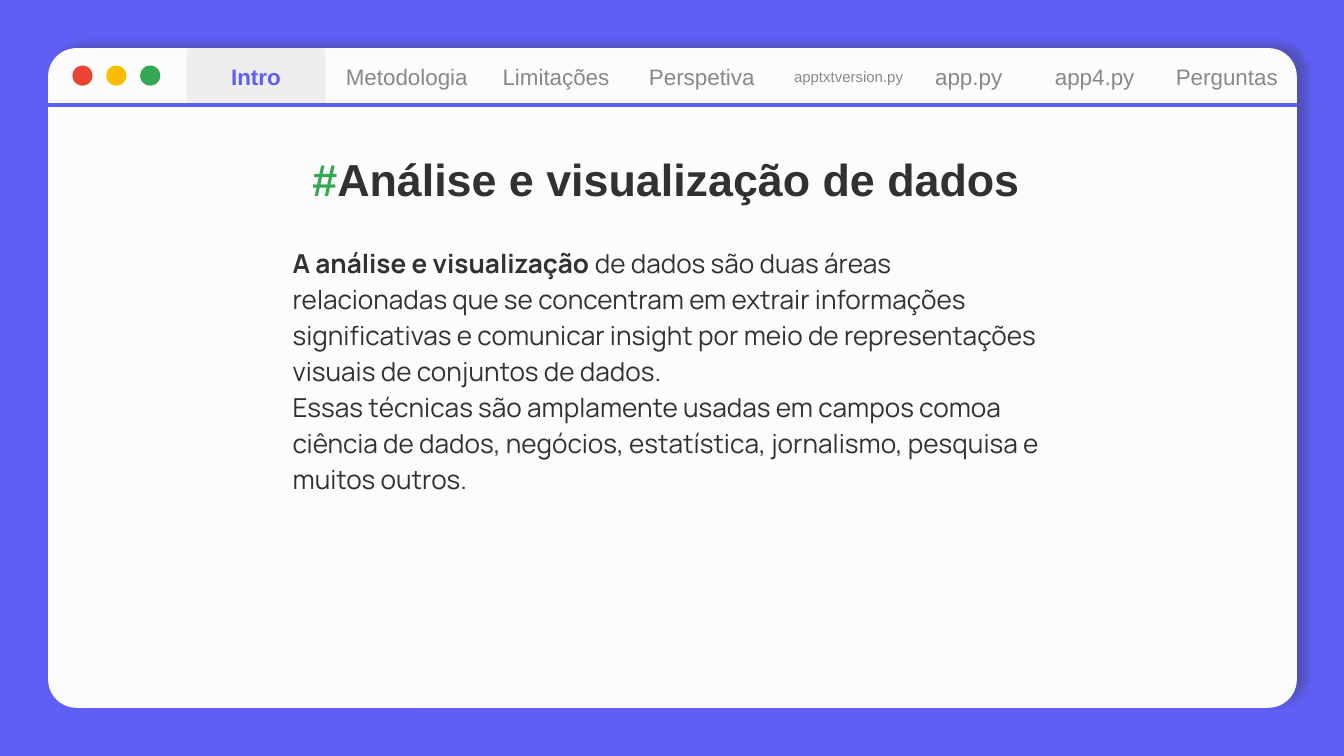
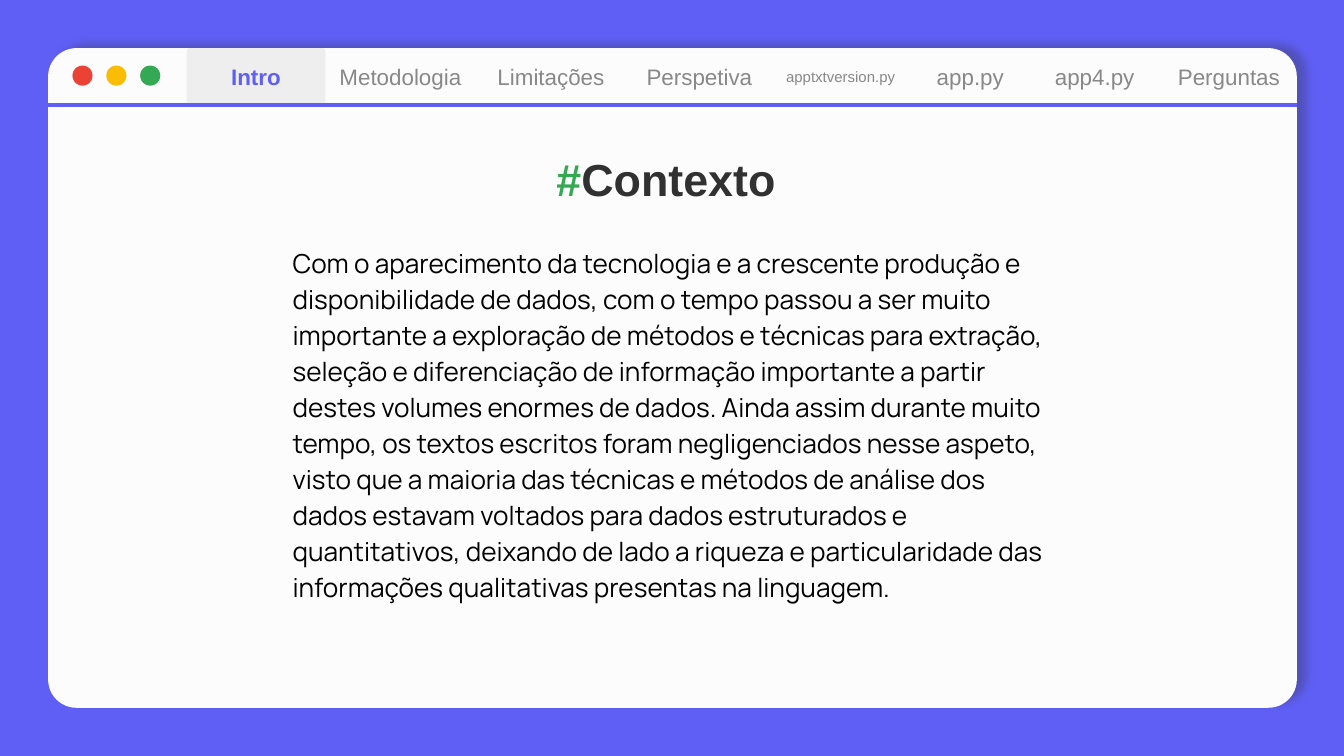
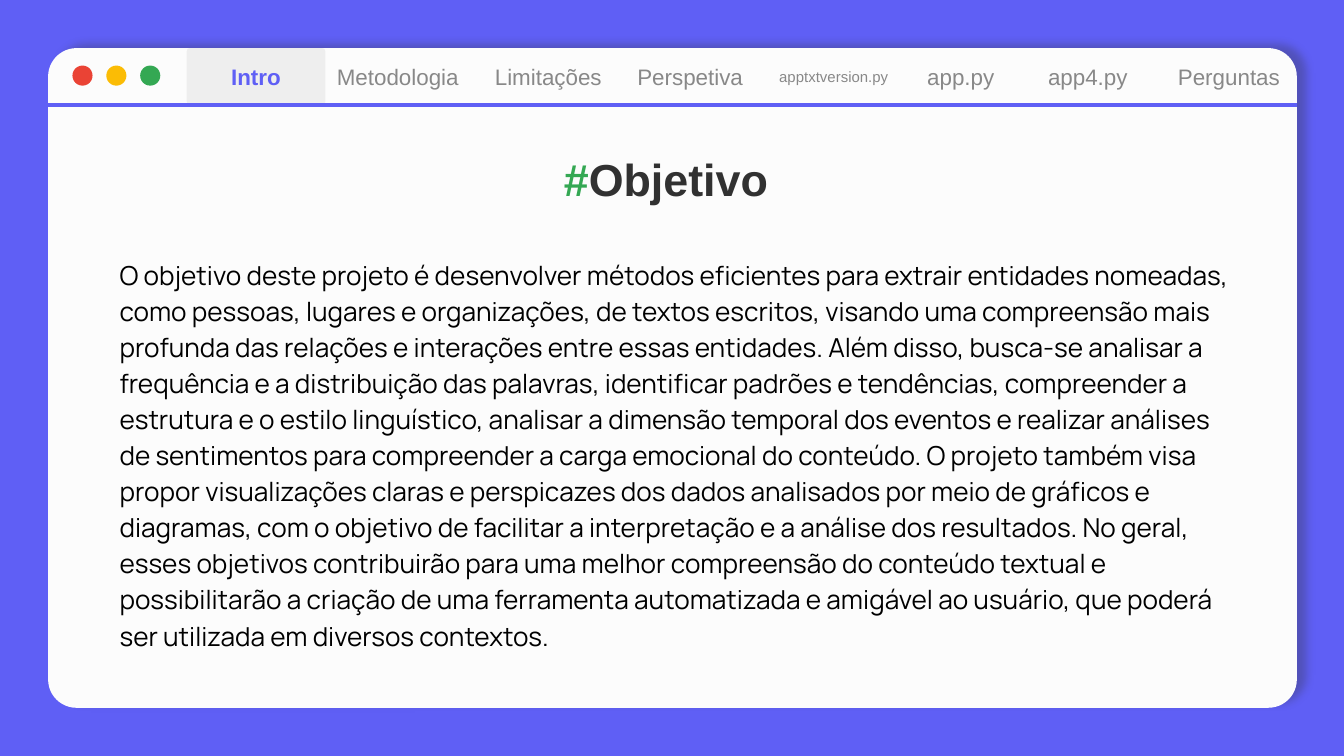
from lxml import etree
from pptx import Presentation
from pptx.dml.color import RGBColor
from pptx.enum.shapes import MSO_CONNECTOR, MSO_SHAPE
from pptx.enum.text import MSO_ANCHOR, MSO_AUTO_SIZE, PP_ALIGN
from pptx.oxml import parse_xml
from pptx.oxml.ns import qn
from pptx.util import Cm, Pt

VIOLET, PAPER, INK, BLACK = "5F5FF5", "FCFCFC", "313131", "000000"
GREY, ACTIVE, GREEN = "888888", "EEEEEE", "34A853"
BUTTONS = ["EA4335", "FBBC05", GREEN]
HEADING_FONT, BODY_FONT = "Arial", "Manrope"

# Content: tab labels, then each slide with its tab places (left, width) in cm
TABS = ["Intro", "Metodologia", "Limitações", "Perspetiva",
        "apptxtversion.py", "app.py", "app4.py", "Perguntas"]
INTRO = (3.53, 2.62)
NARROW = (5.28, 4.34, 14.81, 7.39)
WIDE = (2.01, 4.57, 21.56, 8.81)

SLIDES = [
    dict(
        title="Análise e visualização de dados", color=INK, body_box=NARROW,
        tabs=[INTRO, (6.32, 2.74), (9.2, 2.62), (11.79, 2.95), (14.73, 2.62),
              (16.94, 2.74), (19.38, 2.62), (21.87, 2.79)],
        body=[
            [("A análise e visualização ", True),
             ("de dados são duas áreas relacionadas que se concentram em extrair "
              "informações significativas e comunicar insight por meio de "
              "representações visuais de conjuntos de dados.", False)],
            [("Essas técnicas são amplamente usadas em campos comoa ciência de "
              "dados, negócios, estatística, jornalismo, pesquisa e muitos outros.",
              False)],
        ]),
    dict(
        title="Contexto", color=BLACK, body_box=NARROW,
        tabs=[INTRO, (6.2, 2.74), (8.93, 2.97), (11.43, 3.58), (14.58, 2.62),
              (16.97, 2.74), (19.38, 2.62), (21.87, 2.87)],
        body=[[(
            "Com o aparecimento da tecnologia e a crescente produção e "
            "disponibilidade de dados, com o tempo passou a ser muito importante a "
            "exploração de métodos e técnicas para extração, seleção e "
            "diferenciação de informação importante a partir destes volumes "
            "enormes de dados. Ainda assim durante muito tempo, os textos escritos "
            "foram negligenciados nesse aspeto, visto que a maioria das técnicas e "
            "métodos de análise dos dados estavam voltados para dados estruturados "
            "e quantitativos, deixando de lado a riqueza e particularidade das "
            "informações qualitativas presentas na linguagem.", False)]]),
    dict(
        title="Objetivo", color=BLACK, body_box=WIDE,
        tabs=[INTRO, (6.15, 2.74), (8.89, 2.95), (11.51, 3.07), (14.45, 2.62),
              (16.79, 2.74), (19.25, 2.62), (21.87, 2.87)],
        body=[[
            ("O objetivo deste projeto é desenvolver métodos eficientes para extrair "
             "entidades nomeadas, como pessoas, lugares e organizações, de textos "
             "escritos, visando uma compreensão mais profunda das relações e "
             "interações entre essas entidades. Além disso, busca-se analisar a "
             "frequência e a distribuição das palavras, identificar padrões e "
             "tendências, compreender a estrutura e o estilo linguístico, analisar a "
             "dimensão temporal dos eventos e realizar análises de sentimentos para "
             "compreender a carga emocional do conteúdo. ", False),
            ("O projeto também visa "
             "propor visualizações claras e perspicazes dos dados analisados por "
             "meio de gráficos e diagramas, com o objetivo de facilitar a "
             "interpretação e a análise dos resultados. No geral, esses objetivos "
             "contribuirão para uma melhor compreensão do conteúdo textual e "
             "possibilitarão a criação de uma ferramenta automatizada e amigável ao "
             "usuário, que poderá ser utilizada em diversos contextos.", False)]]),
]

# Shared measures in cm
EDGE, PANEL_W, PANEL_H = 0.91, 23.6, 12.47
BAR_H = 1.07
DOT, DOT_LEFT, DOT_TOP, DOT_STEP = 0.38, 1.37, 1.24, 0.64
TITLE_BOX = (1.75, 2.82, 21.67, 1.52)

SHADOW = (
    '<a:effectLst xmlns:a="http://schemas.openxmlformats.org/drawingml/2006/main">'
    f'<a:outerShdw blurRad="{Pt(4.5)}" dist="{Pt(6)}" dir="{342 * 60000}" '
    f'algn="bl" rotWithShape="0"><a:srgbClr val="{INK}"><a:alpha val="30000"/>'
    '</a:srgbClr></a:outerShdw></a:effectLst>')


def rgb(code):
    return RGBColor.from_string(code)


def add_box(shapes, kind, box, fill=None, corner=None):
    shape = shapes.add_shape(kind, *map(Cm, box))
    shape.shadow.inherit = False
    shape.line.fill.background()
    if fill:
        shape.fill.solid()
        shape.fill.fore_color.rgb = rgb(fill)
    else:
        shape.fill.background()
    if corner is not None:
        shape.adjustments[0] = corner
    return shape


def write(shape, paragraphs, size, font=HEADING_FONT, align=PP_ALIGN.LEFT,
          anchor=MSO_ANCHOR.TOP, inset=0.25, spacing=None):
    """Fill a shape with paragraphs, each a list of (text, bold, colour)."""
    frame = shape.text_frame
    frame.word_wrap = True
    frame.auto_size = MSO_AUTO_SIZE.NONE
    frame.vertical_anchor = anchor
    frame.margin_left = frame.margin_right = Cm(inset)
    frame.margin_top = frame.margin_bottom = Cm(inset)
    for number, runs in enumerate(paragraphs):
        paragraph = frame.add_paragraph() if number else frame.paragraphs[0]
        paragraph.alignment = align
        paragraph.space_before = paragraph.space_after = Pt(0)
        if spacing:
            paragraph.line_spacing = spacing
        for text, bold, color in runs:
            run = paragraph.add_run()
            run.text = text
            run.font.name, run.font.size = font, Pt(size)
            run.font.bold, run.font.color.rgb = bold, rgb(color)


def move_panel_to_layout(slide, layout):
    panel = add_box(slide.shapes, MSO_SHAPE.ROUNDED_RECTANGLE,
                    (EDGE, EDGE, PANEL_W, PANEL_H), PAPER, 0.043)
    properties = panel.element.spPr
    properties.replace(properties.find(qn("a:effectLst")), parse_xml(SHADOW))
    panel.element.nvSpPr.cNvPr.set("id", "20")
    layout.placeholders[0].element.addprevious(panel.element)


def add_window_bar(slide, places):
    # Tabs, with the first one active
    for label, (left, width) in zip(TABS, places):
        active, last = label == TABS[0], label == TABS[-1]
        kind = MSO_SHAPE.ROUND_1_RECTANGLE if last else MSO_SHAPE.ROUNDED_RECTANGLE
        tab = add_box(slide.shapes, kind, (left, EDGE, width, BAR_H),
                      ACTIVE if active else None, 0.5 if last else 0.06)
        write(tab, [[(label, active, VIOLET if active else GREY)]],
              size=8 if label == "apptxtversion.py" else 12,
              align=PP_ALIGN.CENTER, anchor=MSO_ANCHOR.MIDDLE,
              inset=0.25 if last else 0)

    # Window buttons
    buttons = slide.shapes.add_group_shape()
    for number, color in enumerate(BUTTONS):
        add_box(buttons.shapes, MSO_SHAPE.OVAL,
                (DOT_LEFT + number * DOT_STEP, DOT_TOP, DOT, DOT), color)

    # Rule under the bar
    rule_y = Cm(EDGE + BAR_H)
    rule = slide.shapes.add_connector(MSO_CONNECTOR.STRAIGHT, Cm(EDGE), rule_y,
                                      Cm(EDGE + PANEL_W), rule_y)
    rule.line.color.rgb = rgb(VIOLET)
    rule.line.width = Pt(2.25)
    etree.SubElement(rule.element.spPr, qn("a:effectLst"))


def main():
    prs = Presentation()
    prs.slide_width, prs.slide_height = Cm(25.4), Cm(14.29)
    background = prs.slide_master.background.fill
    background.solid()
    background.fore_color.rgb = rgb(VIOLET)
    layout = prs.slide_layouts[5]

    for number, content in enumerate(SLIDES):
        slide = prs.slides.add_slide(layout)
        if number == 0:
            move_panel_to_layout(slide, layout)
        add_window_bar(slide, content["tabs"])

        body = slide.shapes.add_textbox(*map(Cm, content["body_box"]))
        write(body, [[(text, bold, content["color"]) for text, bold in runs]
                     for runs in content["body"]],
              size=14, font=BODY_FONT, spacing=1.15)

        title = slide.shapes.title
        title.left, title.top, title.width, title.height = map(Cm, TITLE_BOX)
        write(title, [[("#", True, GREEN), (content["title"], True, INK)]],
              size=24, align=PP_ALIGN.CENTER, spacing=0.8)

    prs.save("out.pptx")


if __name__ == "__main__":
    main()
